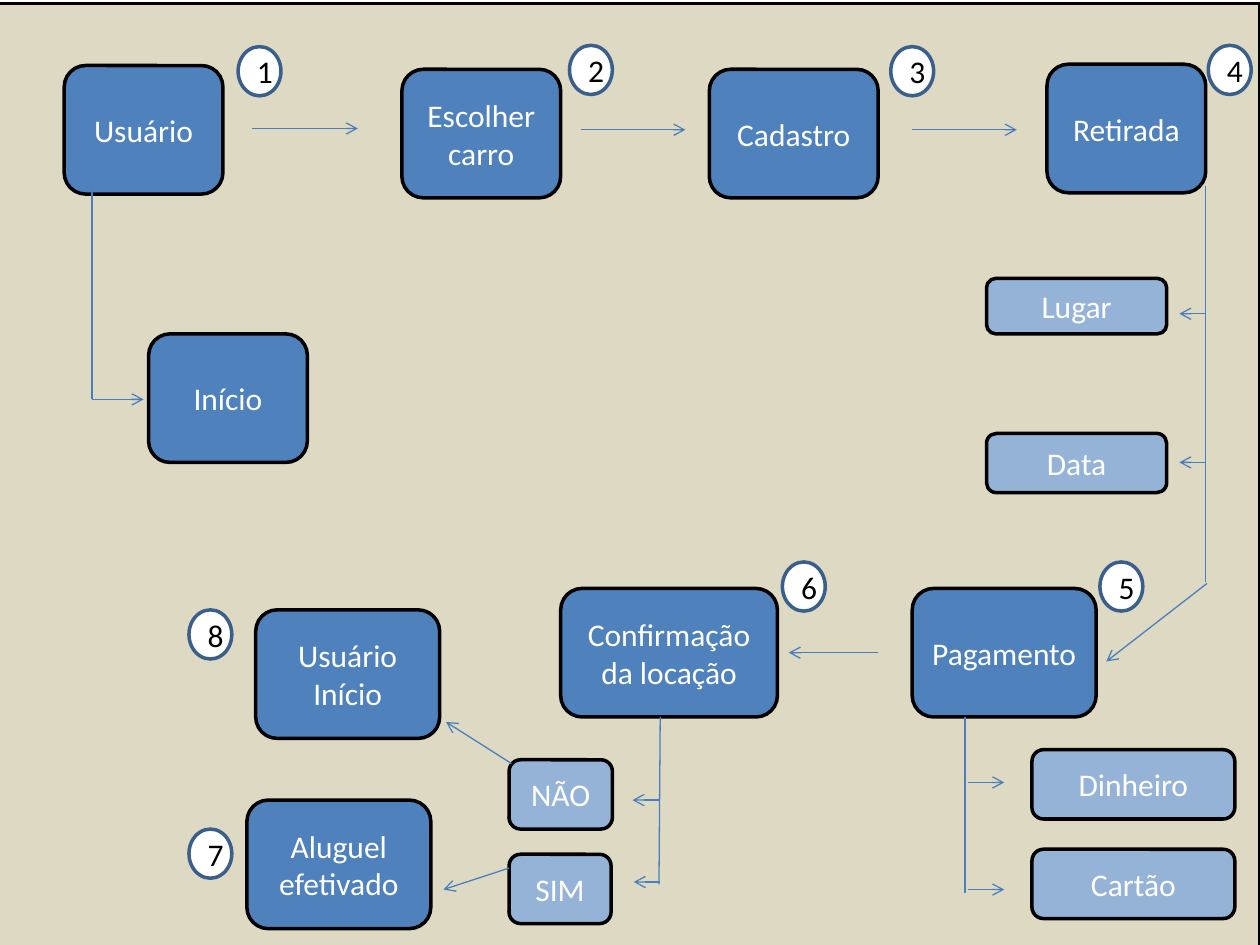
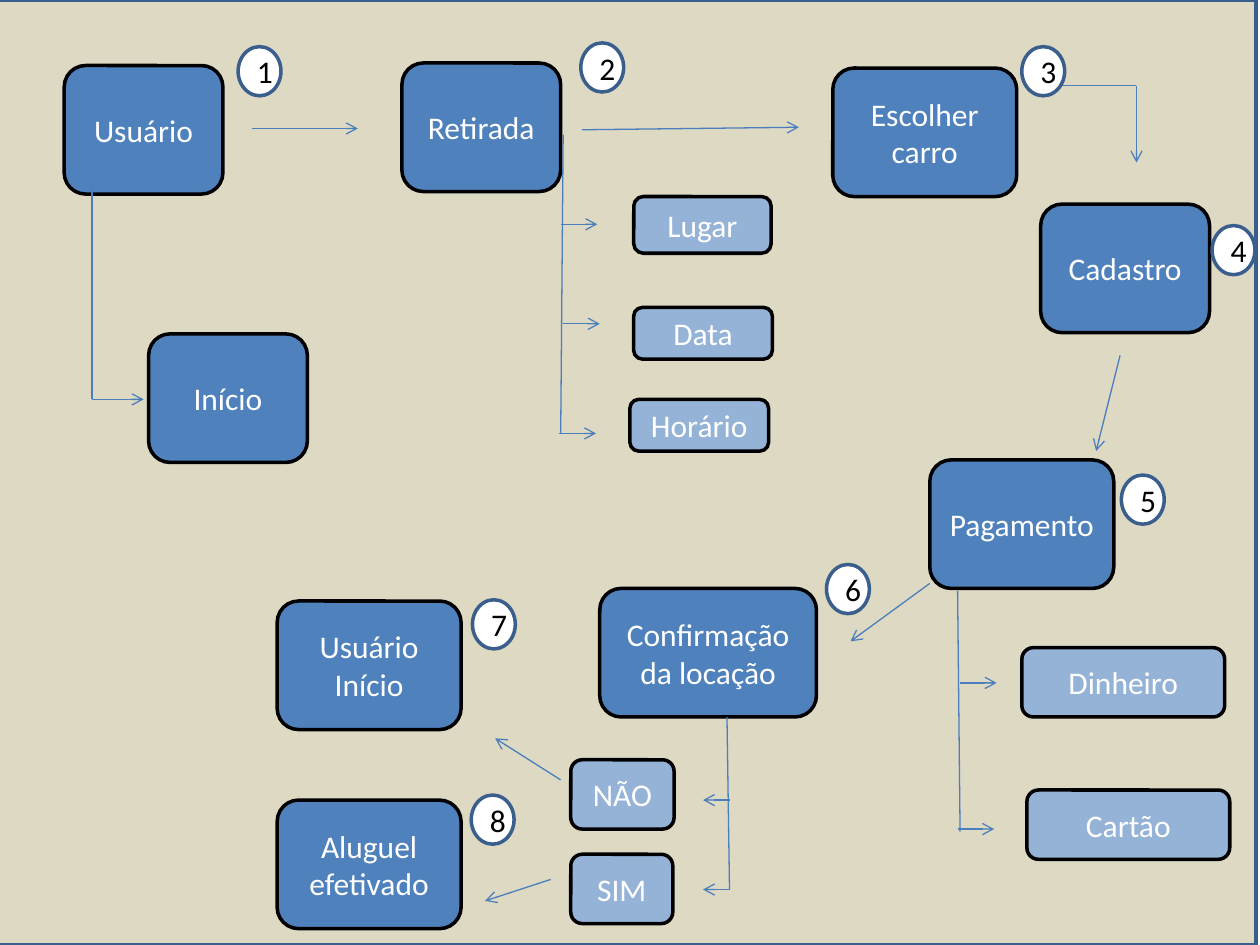
import pptx
import pptx.util
import pptx.dml.color
import pptx.enum.shapes
import pptx.enum.text
import pptx.oxml
import pptx.oxml.ns

Inches = pptx.util.Inches
RGBColor = pptx.dml.color.RGBColor
SHAPES = pptx.enum.shapes.MSO_SHAPE

SAND = RGBColor(0xDD, 0xD9, 0xC3)
BLUE = RGBColor(0x4F, 0x81, 0xBD)
PALE_BLUE = RGBColor(0x95, 0xB3, 0xD7)
LINE_BLUE = RGBColor(0x4B, 0x7E, 0xBC)
DARK_BLUE = RGBColor(0x3A, 0x5F, 0x8C)
BLACK = RGBColor(0, 0, 0)
WHITE = RGBColor(0xFF, 0xFF, 0xFF)

STAGE_W, STAGE_H = 1.26, 1.02
WIDE_W = 1.46
CONFIRM_W = 1.72
CADASTRO_W = 1.34
PAYMENT_W, CHOICE_H = 1.61, 0.55


class Flowchart:
    """Holds the style of the flowcharts and the slide being drawn."""

    font = "Calibri"
    text_size = 18
    outline = 2
    arrow_width = 0.75

    def __init__(self, deck):
        """Start without a slide."""
        self.deck = deck
        self.slide = None

    def new_slide(self, left, top, width, border):
        """Add a blank slide with its sand backdrop."""
        self.slide = self.deck.slides.add_slide(self.deck.slide_layouts[6])
        self.box(SHAPES.RECTANGLE, "", left, top, width, 7.5, SAND, border)

    def box(self, kind, text, left, top, width, height, fill,
            border=BLACK, text_color=WHITE):
        """Draw an outlined shape with centred text, one paragraph a line."""
        shape = self.slide.shapes.add_shape(
            kind, Inches(left), Inches(top), Inches(width), Inches(height))
        shape.shadow.inherit = False
        shape.fill.solid()
        shape.fill.fore_color.rgb = fill
        shape.line.color.rgb = border
        shape.line.width = pptx.util.Pt(self.outline)
        if not text:
            return
        frame = shape.text_frame
        frame.vertical_anchor = pptx.enum.text.MSO_ANCHOR.MIDDLE
        for index, words in enumerate(text.split("\n")):
            paragraph = frame.add_paragraph() if index else frame.paragraphs[0]
            paragraph.alignment = pptx.enum.text.PP_ALIGN.CENTER
            run = paragraph.add_run()
            run.text = words
            run.font.name = self.font
            run.font.size = pptx.util.Pt(self.text_size)
            run.font.color.rgb = text_color

    def stage(self, text, left, top, width=STAGE_W):
        """Draw a main step of the flow."""
        self.box(SHAPES.ROUNDED_RECTANGLE, text, left, top, width, STAGE_H, BLUE)

    def option(self, text, left, top, width, height=CHOICE_H):
        """Draw a pale option below a step."""
        self.box(SHAPES.ROUNDED_RECTANGLE, text, left, top, width, height,
                 PALE_BLUE)

    def badges(self, corners):
        """Number the steps from 1, given the corner of each badge."""
        for number, (left, top) in enumerate(corners, 1):
            self.box(SHAPES.FLOWCHART_CONNECTOR, str(number), left, top,
                     0.34, 0.39, WHITE, DARK_BLUE, BLACK)

    def line(self, x1, y1, x2, y2, arrow=False):
        """Draw a thin line, with an open arrowhead at its end if asked."""
        link = self.slide.shapes.add_connector(
            pptx.enum.shapes.MSO_CONNECTOR.STRAIGHT,
            Inches(x1), Inches(y1), Inches(x2), Inches(y2))
        link.line.color.rgb = LINE_BLUE
        link.line.width = pptx.util.Pt(self.arrow_width)
        if arrow:
            head = pptx.oxml.parse_xml(
                "<a:tailEnd %s type='arrow'/>" % pptx.oxml.ns.nsdecls("a"))
            link.line._get_or_add_ln().append(head)
        link._element.spPr.append(pptx.oxml.parse_xml(
            "<a:effectLst %s/>" % pptx.oxml.ns.nsdecls("a")))

    def arrow(self, x1, y1, x2, y2):
        """Draw a line that ends in an arrowhead."""
        self.line(x1, y1, x2, y2, arrow=True)

    def branch(self, trunk, reach, twigs):
        """Draw a trunk and arrows leaving it, each given as (x, y)."""
        self.line(*trunk)
        for x, y in twigs:
            self.arrow(x, y, x + reach, y)

    def user_start(self):
        """Draw the user step and its start screen."""
        self.stage("Usuário", 0.51, 0.52)
        self.stage("Início", 1.18, 2.65)
        self.arrow(2, 1.02, 2.84, 1.02)
        self.branch((0.73, 1.48, 0.73, 3.17), 0.41, [(0.73, 3.17)])

    def confirmation(self, left, answers_left):
        """Draw the confirmation step with its two answers."""
        self.stage("Confirmação da locação", left, 4.67, CONFIRM_W)
        self.option("NÃO", answers_left, 6.03, 0.82)
        self.option("SIM", answers_left, 6.78, 0.81)

    def outcomes(self, back, done):
        """Draw the two steps that end the flow, given their corners."""
        self.stage("Usuário\nInício", *back, WIDE_W)
        self.stage("Aluguel efetivado", *done, WIDE_W)


def draw_choose_first(chart):
    """Flow in which the car is chosen before the pick-up."""
    chart.new_slide(-0.05, 0.03, 10.05, BLACK)
    chart.user_start()
    chart.stage("Escolher carro", 3.19, 0.55)
    chart.stage("Cadastro", 5.63, 0.55, CADASTRO_W)
    chart.stage("Retirada", 8.31, 0.51)
    for start in (4.61, 7.24):
        chart.arrow(start, 1.03, start + 0.83, 1.03)

    chart.option("Lugar", 7.83, 2.21, 1.43, 0.44)
    chart.option("Data", 7.83, 3.44, 1.43, 0.47)
    chart.branch((9.57, 1.48, 9.57, 4.62), -0.21, [(9.57, 2.49), (9.57, 3.67)])
    chart.arrow(9.58, 4.63, 8.78, 5.25)

    chart.stage("Pagamento", 7.24, 4.67, WIDE_W)
    chart.option("Dinheiro", 8.19, 5.95, PAYMENT_W)
    chart.option("Cartão", 8.19, 6.74, PAYMENT_W)
    chart.branch((7.66, 5.69, 7.66, 7.09), 0.29, [(7.68, 6.21), (7.68, 7.06)])
    chart.arrow(6.97, 5.18, 6.26, 5.18)

    chart.confirmation(4.45, 4.04)
    chart.branch((5.24, 5.69, 5.23, 7.02), -0.21, [(5.23, 6.35), (5.24, 7)])
    chart.outcomes((2.03, 4.84), (1.96, 6.35))
    chart.arrow(4.06, 6.06, 3.54, 5.73)
    chart.arrow(4.04, 6.89, 3.52, 7.06)
    chart.badges([(1.89, 0.37), (4.52, 0.36), (7.07, 0.37), (9.59, 0.36),
                  (8.73, 4.46), (6.21, 4.46), (1.5, 6.58), (1.5, 4.84)])


def draw_pickup_first(chart):
    """Flow in which the pick-up is set before the car is chosen."""
    chart.new_slide(-0.03, 0, 10, DARK_BLUE)
    chart.user_start()
    chart.stage("Retirada", 3.19, 0.5)
    chart.stage("Escolher carro", 6.61, 0.54, WIDE_W)
    chart.stage("Cadastro", 8.26, 1.62, CADASTRO_W)
    chart.arrow(4.62, 1.03, 6.34, 1.01)
    chart.line(8.34, 0.68, 9.02, 0.68)
    chart.arrow(9.02, 0.68, 9.02, 1.29)
    chart.arrow(8.89, 2.82, 8.7, 3.58)

    chart.option("Lugar", 5.03, 1.56, 1.09, 0.45)
    chart.option("Data", 5.03, 2.44, 1.1, 0.41)
    chart.option("Horário", 5, 3.17, 1.1, 0.41)
    chart.branch((4.47, 1.07, 4.45, 3.44), 0.29,
                 [(4.45, 1.78), (4.47, 2.57), (4.44, 3.44)])

    chart.stage("Pagamento", 7.38, 3.65, WIDE_W)
    chart.option("Dinheiro", 8.11, 5.14, PAYMENT_W)
    chart.option("Cartão", 8.15, 6.27, PAYMENT_W)
    chart.branch((7.6, 4.69, 7.62, 6.6), 0.29, [(7.62, 5.42), (7.6, 6.58)])
    chart.arrow(7.38, 4.63, 6.75, 5.09)

    chart.confirmation(4.76, 4.53)
    chart.branch((5.77, 5.69, 5.79, 7.06), -0.21, [(5.79, 6.35), (5.79, 7.06)])
    chart.outcomes((2.2, 4.77), (2.2, 6.35))
    chart.arrow(4.45, 6.19, 3.93, 5.86)
    chart.arrow(4.37, 6.98, 3.85, 7.15)
    chart.badges([(1.89, 0.37), (4.61, 0.34), (8.11, 0.37), (9.62, 1.79),
                  (8.9, 3.77), (6.56, 4.48), (3.75, 4.76), (3.74, 6.31)])


deck = pptx.Presentation()
deck.slide_width = Inches(10)
deck.slide_height = Inches(7.5)
rental_flow = Flowchart(deck)
draw_choose_first(rental_flow)
draw_pickup_first(rental_flow)
deck.save("out.pptx")
